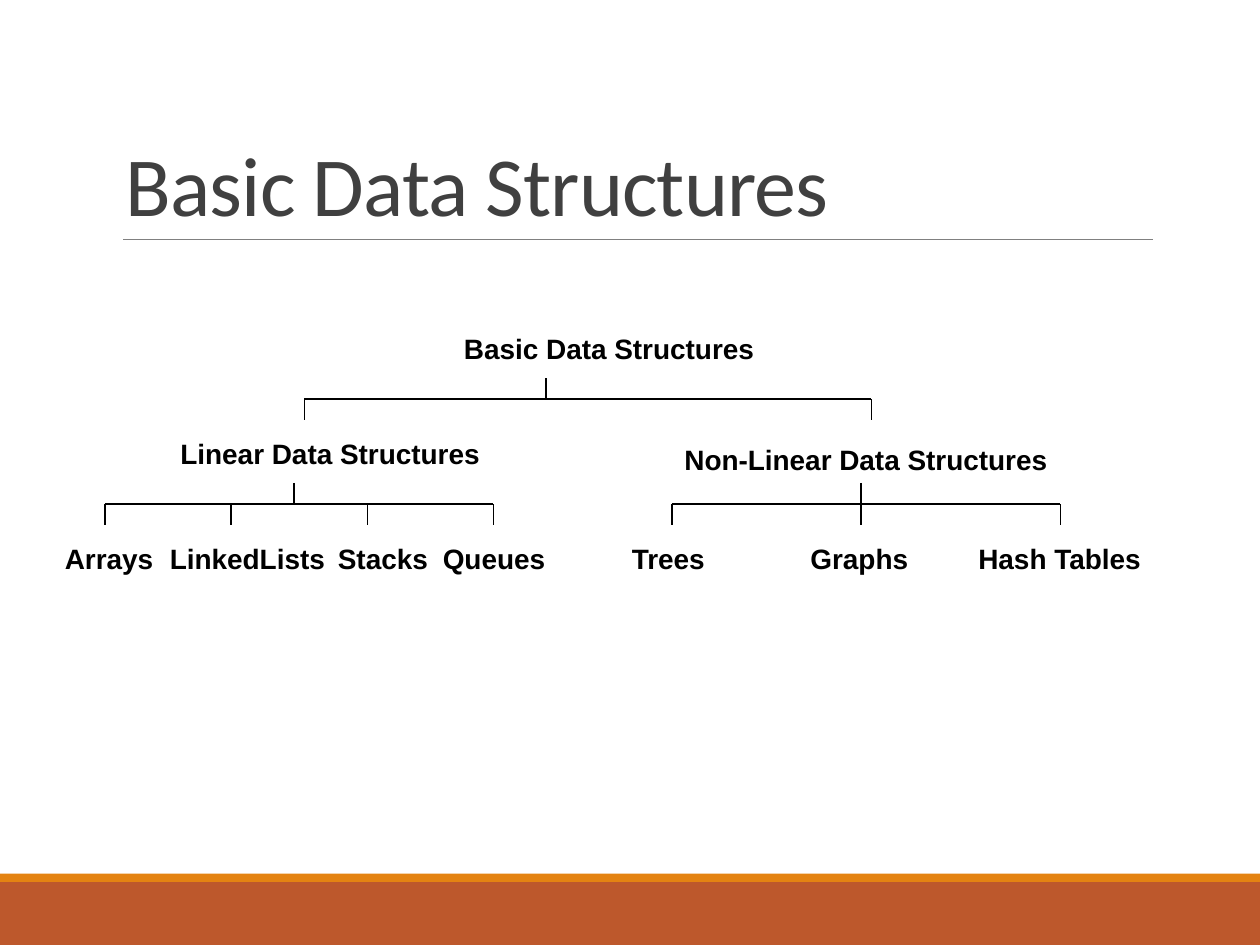
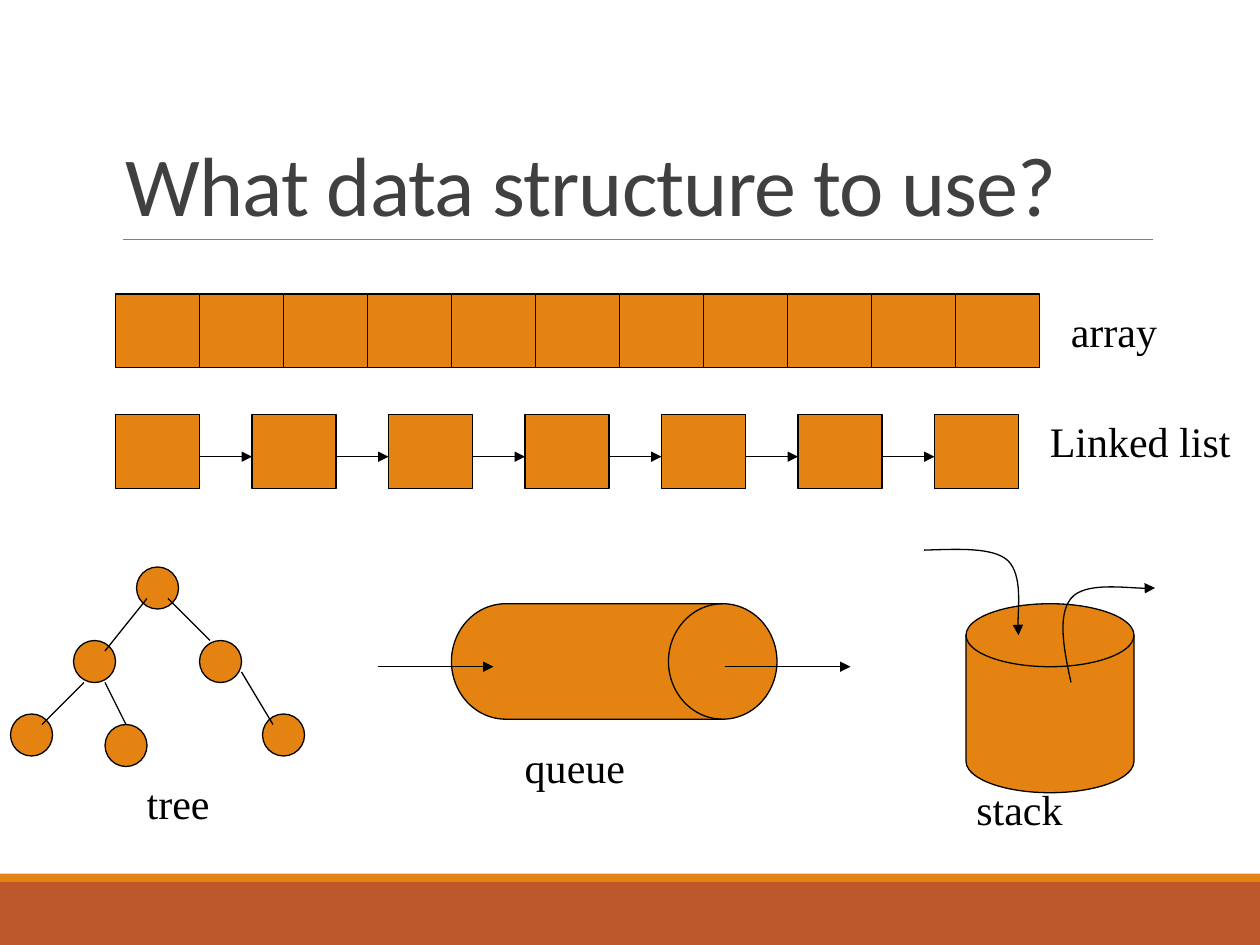
from typing import NamedTuple

from lxml.etree import SubElement
from pptx import Presentation
from pptx.dml.color import RGBColor
from pptx.enum.shapes import MSO_CONNECTOR, MSO_SHAPE
from pptx.enum.text import MSO_ANCHOR, MSO_AUTO_SIZE
from pptx.oxml.ns import qn
from pptx.util import Inches, Pt

# Square grid: 120 columns by 90 rows, 12 to the inch
COLS, ROWS = 120, 90
UNIT = Inches(10) / COLS

COLORS = {"band": "BD582C", "accent": "E48312", "rule": "808080",
          "title": "404040", "ink": "000000"}

FORMATS = {
    "title": {"name": "Calibri", "size": Pt(48), "bold": False},
    "node": {"name": "Arial", "size": Pt(16), "bold": True},
    "caption": {"name": "Times New Roman", "size": Pt(24), "bold": False},
}
FRAMES = {
    "title": {"word_wrap": True, "vertical_anchor": MSO_ANCHOR.BOTTOM},
    "node": {"word_wrap": True, "auto_size": MSO_AUTO_SIZE.SHAPE_TO_FIT_TEXT},
    "caption": {"word_wrap": False, "auto_size": MSO_AUTO_SIZE.SHAPE_TO_FIT_TEXT},
}


class Label(NamedTuple):
    text: str
    col: float
    row: float
    cols: float
    rows: float


class Bracket(NamedTuple):
    stem: float
    row: float
    drops: tuple[float, ...]


class Edge(NamedTuple):
    x1: float
    y1: float
    x2: float
    y2: float


LEAF_ROW, NODE_H, CAPTION_H = 51, 4.4, 6
LEAVES = [("Arrays", 5, 11), ("LinkedLists", 15, 18), ("Stacks", 31, 11),
          ("Queues", 41, 13), ("Trees", 59, 11), ("Graphs", 76, 15),
          ("Hash Tables", 92, 19)]
HIERARCHY = [
    Label("Basic Data Structures", 43, 31, 33, NODE_H),
    Label("Linear Data Structures", 16, 41, 33, NODE_H),
    Label("Non-Linear Data Structures", 64, 41.6, 39, NODE_H),
] + [Label(text, col, LEAF_ROW, cols, NODE_H) for text, col, cols in LEAVES]
BRACKETS = [Bracket(52, 38, (29, 83)),
            Bracket(28, 48, (10, 22, 35, 47)),
            Bracket(82, 48, (64, 82, 101))]

TREE_NODES = [(13, 54), (7, 61), (1, 68), (19, 61), (25, 68), (10, 69)]
TREE_EDGES = [Edge(14, 57, 10, 62), Edge(8, 65, 4, 69), Edge(16, 57, 20, 61),
              Edge(23, 64, 26, 69), Edge(10, 65, 12, 69)]
QUEUE_ARROWS = [Edge(36, 63.5, 47, 63.5), Edge(69, 63.5, 81, 63.5)]
# Start point, then three Bezier points for each segment
PUSH = [(88, 52.4), (91.2, 52.3), (94.6, 52.1), (96, 53.4),
        (97.4, 54.8), (96.8, 59.3), (97, 60.5)]
POP = [(102, 65), (101.3, 61.8), (100.7, 58.6), (102, 57),
       (103.3, 55.4), (108.7, 56.2), (110, 56)]
CAPTIONS = [Label("array", 100.8, 28.5, 10.7, CAPTION_H),
            Label("Linked list", 98.8, 39, 19.6, CAPTION_H),
            Label("tree", 12.8, 73.5, 8.4, CAPTION_H),
            Label("queue", 48.8, 70, 12, CAPTION_H),
            Label("stack", 91.8, 74, 10.7, CAPTION_H)]


def grid(*values: float) -> list[int]:
    return [round(v * UNIT) for v in values]


def rgb(color: str) -> RGBColor:
    return RGBColor.from_string(COLORS[color])


def style_line(line, color: str, width: float, arrow: bool = False) -> None:
    line.color.rgb = rgb(color)
    line.width = Pt(width)
    if arrow:
        SubElement(line._get_or_add_ln(), qn("a:tailEnd"), type="triangle")


def add_text(s, label: Label, kind: str, color: str = "ink"):
    tf = s.shapes.add_textbox(*grid(*label[1:])).text_frame
    for key, value in FRAMES[kind].items():
        setattr(tf, key, value)
    p = tf.paragraphs[0]
    r = p.add_run()
    r.text = label.text
    for key, value in FORMATS[kind].items():
        setattr(r.font, key, value)
    r.font.color.rgb = rgb(color)
    return p


def add_block(s, shape: MSO_SHAPE, col: float, row: float, cols: float,
              rows: float, fill: str = "accent", outlined: bool = True) -> None:
    sp = s.shapes.add_shape(shape, *grid(col, row, cols, rows))
    sp.shadow.inherit = False
    sp.fill.solid()
    sp.fill.fore_color.rgb = rgb(fill)
    if outlined:
        style_line(sp.line, "ink", 0.75)
    else:
        sp.line.fill.background()


def add_edge(s, edge: Edge, color: str = "ink", width: float = 0.75,
             arrow: bool = False) -> None:
    cx = s.shapes.add_connector(MSO_CONNECTOR.STRAIGHT, *grid(*edge))
    style_line(cx.line, color, width, arrow)
    SubElement(cx._element.spPr, qn("a:effectLst"))


def add_bracket(s, b: Bracket) -> None:
    add_edge(s, Edge(min(b.drops), b.row, max(b.drops), b.row))
    add_edge(s, Edge(b.stem, b.row - 2, b.stem, b.row))
    for col in b.drops:
        add_edge(s, Edge(col, b.row, col, b.row + 2))


def add_curved_arrow(s, points: list[tuple[float, float]]) -> None:
    start, *rest = [tuple(grid(*point)) for point in points]
    builder = s.shapes.build_freeform(*start)
    builder.add_line_segments(rest, close=False)
    sp = builder.convert_to_shape()
    sp.shadow.inherit = False
    sp.fill.background()
    style_line(sp.line, "ink", 0.75, arrow=True)
    # Join every three line steps into one cubic segment
    outline = sp._element.xpath(".//a:path")[0]
    steps = outline.findall(qn("a:lnTo"))
    for i in range(0, len(steps), 3):
        curve = SubElement(outline, qn("a:cubicBezTo"))
        for step in steps[i:i + 3]:
            curve.append(step[0])
            outline.remove(step)


def add_base_slide(prs, title: str):
    s = prs.slides.add_slide(prs.slide_layouts[6])
    add_block(s, MSO_SHAPE.RECTANGLE, 0, 84, COLS, 6, "band", outlined=False)
    add_block(s, MSO_SHAPE.RECTANGLE, 0, 83.2, COLS, 0.8, outlined=False)
    add_edge(s, Edge(11.75, 22.8, 109.8, 22.8), "rule", 0.5)
    p = add_text(s, Label(title, 10.8, 3.7, 99, 19.1), "title", "title")
    p.line_spacing = 0.85
    p.runs[0]._r.get_or_add_rPr().set("spc", "-50")
    return s


def build_hierarchy(prs) -> None:
    s = add_base_slide(prs, "Basic Data Structures")
    for label in HIERARCHY:
        add_text(s, label, "node")
    for bracket in BRACKETS:
        add_bracket(s, bracket)


def build_gallery(prs) -> None:
    s = add_base_slide(prs, "What data structure to use?")
    left, cell_w, cell_h = 11, 8, 7

    # Array: adjoining cells
    for i in range(11):
        add_block(s, MSO_SHAPE.RECTANGLE, left + i * cell_w, 28, cell_w, cell_h)

    # Linked list: cells joined by arrows
    count, pitch = 7, 13
    for i in range(count):
        col = left + i * pitch
        add_block(s, MSO_SHAPE.RECTANGLE, col, 39.5, cell_w, cell_h)
        if i < count - 1:
            add_edge(s, Edge(col + cell_w, 43.5, col + pitch, 43.5), arrow=True)

    # Tree
    for col, row in TREE_NODES:
        add_block(s, MSO_SHAPE.OVAL, col, row, 4, 4)
    for edge in TREE_EDGES:
        add_edge(s, edge)

    # Queue
    add_block(s, MSO_SHAPE.FLOWCHART_DIRECT_ACCESS_STORAGE, 43, 57.5, 31, 11)
    for edge in QUEUE_ARROWS:
        add_edge(s, edge, arrow=True)

    # Stack
    add_block(s, MSO_SHAPE.FLOWCHART_MAGNETIC_DISK, 92, 57.5, 16, 18)
    for points in (PUSH, POP):
        add_curved_arrow(s, points)

    for label in CAPTIONS:
        add_text(s, label, "caption")


def main() -> None:
    prs = Presentation()
    prs.slide_width, prs.slide_height = grid(COLS, ROWS)
    build_hierarchy(prs)
    build_gallery(prs)
    prs.save("out.pptx")


if __name__ == "__main__":
    main()
